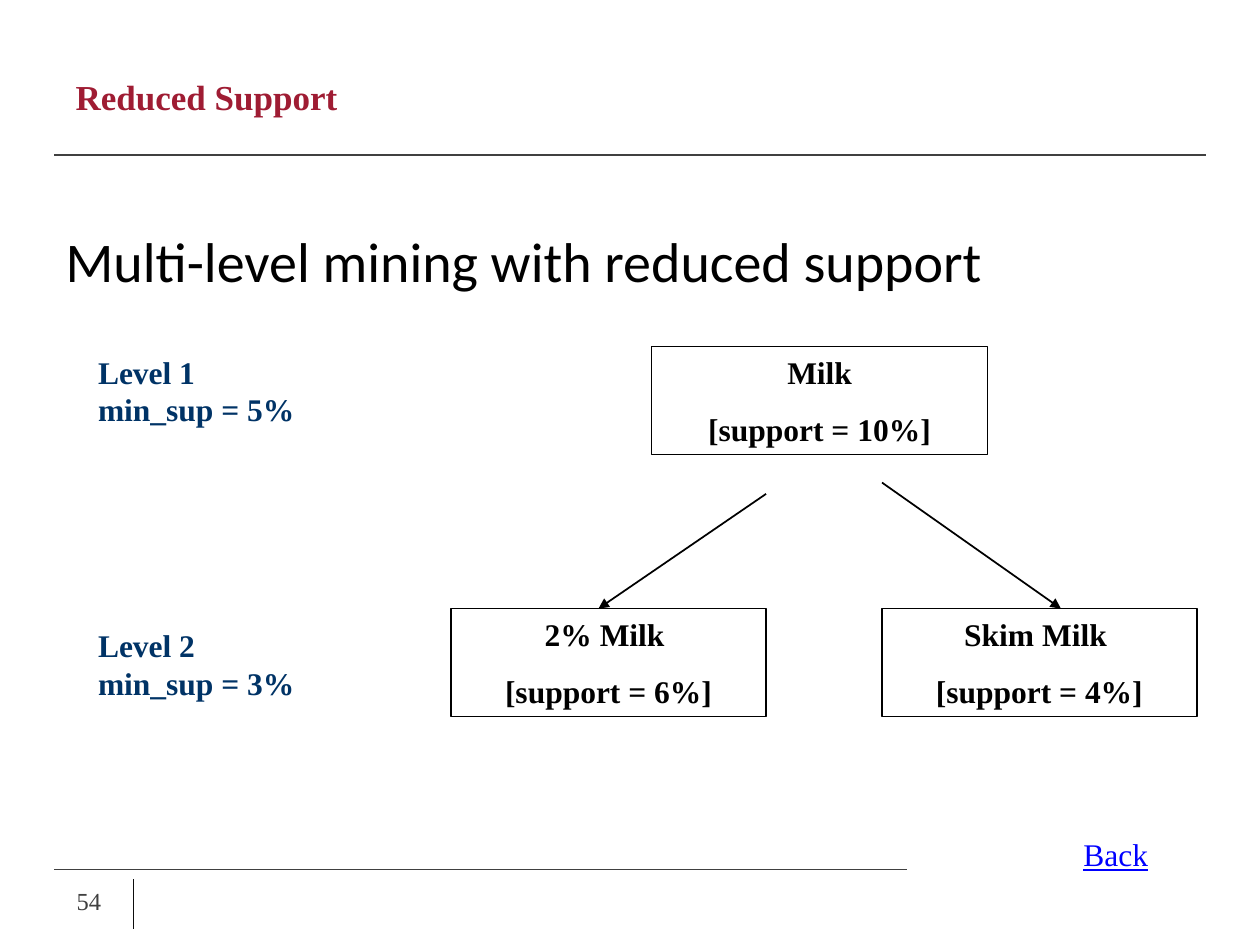
"""Build the slide on multi-level mining with reduced support."""
from pptx import Presentation
from pptx.dml.color import RGBColor
from pptx.enum import shapes, text
from pptx.oxml.ns import qn
from pptx.util import Inches, Pt

THEME = {
    "serif": "Times New Roman", "sans": "Calibri",
    "black": "000000", "white": "FFFFFF", "red": "9F1C33", "navy": "003366",
    "grey": "404040", "dark": "0D0D0D", "link": "0000FF",
    "head": 20, "lead": 32, "label": 18, "page": 14,
}


def write(shape, *lines, font="serif", size="label", color="black", bold=False,
          under=False, align="LEFT", before=0, anchor="TOP", wrap=True):
    frame = shape.text_frame
    frame.text = "\n".join(lines)
    frame.word_wrap = wrap
    frame.auto_size = text.MSO_AUTO_SIZE.NONE
    frame.vertical_anchor = text.MSO_ANCHOR[anchor]
    for para in frame.paragraphs:
        para.alignment = text.PP_ALIGN[align]
        para.space_before = Pt(before)
        face = para.runs[0].font
        face.name, face.size = THEME[font], Pt(THEME[size])
        face.bold, face.underline = bold, under
        face.color.rgb = RGBColor.from_string(THEME[color])


def place(shape, left, top, width, height):
    shape.left, shape.top = Inches(left), Inches(top)
    shape.width, shape.height = Inches(width), Inches(height)


deck = Presentation()
deck.slide_width, deck.slide_height = Inches(10), Inches(7.5)
slide = deck.slides.add_slide(deck.slide_layouts[1])
items = slide.shapes

title, body = slide.placeholders
place(title, 0.5, 0.3, 9, 0.93)
write(title, "Reduced Support", size="head", color="red", bold=True, anchor="MIDDLE")
place(body, 0.42, 1.75, 9.17, 1.08)
write(body, "Multi-level mining with reduced support", font="sans", size="lead", before=8)
props = body.text_frame.paragraphs[0]._p.get_or_add_pPr()
props.set("marL", str(Inches(0.38)))
props.set("indent", str(Inches(-0.38)))
props.append(props.makeelement(qn("a:buNone"), {}))

lines = [
    (0.43, 1.23, 9.57, 1.23, "grey", 0.75, False),
    (0.43, 6.9, 7.2, 6.9, "grey", 0.75, False),
    (1.06, 6.98, 1.06, 7.37, "dark", 0.75, False),
    (6.08, 3.92, 4.75, 4.83, "black", 1, True),
    (7, 3.83, 8.42, 4.83, "black", 1, True),
]
for *ends, color, width, arrow in lines:
    line = items.add_connector(shapes.MSO_CONNECTOR.STRAIGHT, *map(Inches, ends))
    line.line.color.rgb = RGBColor.from_string(THEME[color])
    line.line.width = Pt(width)
    if arrow:
        edge = line.line._get_or_add_ln()
        edge.append(edge.makeelement(qn("a:tailEnd"), {"type": "triangle"}))
    look = line._element.spPr
    look.append(look.makeelement(qn("a:effectLst"), {}))

nodes = [
    (5.17, 2.75, 2.67, "Milk", 10),
    (3.58, 4.83, 2.5, "2% Milk ", 6),
    (7, 4.83, 2.5, "Skim Milk ", 4),
]
for left, top, width, name, share in nodes:
    node = items.add_shape(shapes.MSO_SHAPE.RECTANGLE, 0, 0, 0, 0)
    place(node, left, top, width, 0.86)
    node.shadow.inherit = False
    node.fill.solid()
    node.fill.fore_color.rgb = RGBColor.from_string(THEME["white"])
    node.line.color.rgb = RGBColor.from_string(THEME["black"])
    node.line.width = Pt(0.75)
    write(node, name, f"[support = {share}%]", bold=True, align="CENTER", before=11.2)

level = {"color": "navy", "bold": True, "wrap": False}
notes = [
    ((0.68, 2.75, 1.76, 0.7), ("Level 1", "min_sup = 5%"), level),
    ((0.68, 4.92, 1.76, 0.7), ("Level 2", "min_sup = 3%"), level),
    ((8.5, 6.58, 0.71, 0.4), ("Back",), {"color": "link", "under": True, "wrap": False}),
    ((0.51, 6.95, 0.52, 0.4), ("54",), {"size": "page", "color": "grey", "anchor": "MIDDLE"}),
]
for spot, words, style in notes:
    write(items.add_textbox(*map(Inches, spot)), *words, **style)

deck.save("out.pptx")
